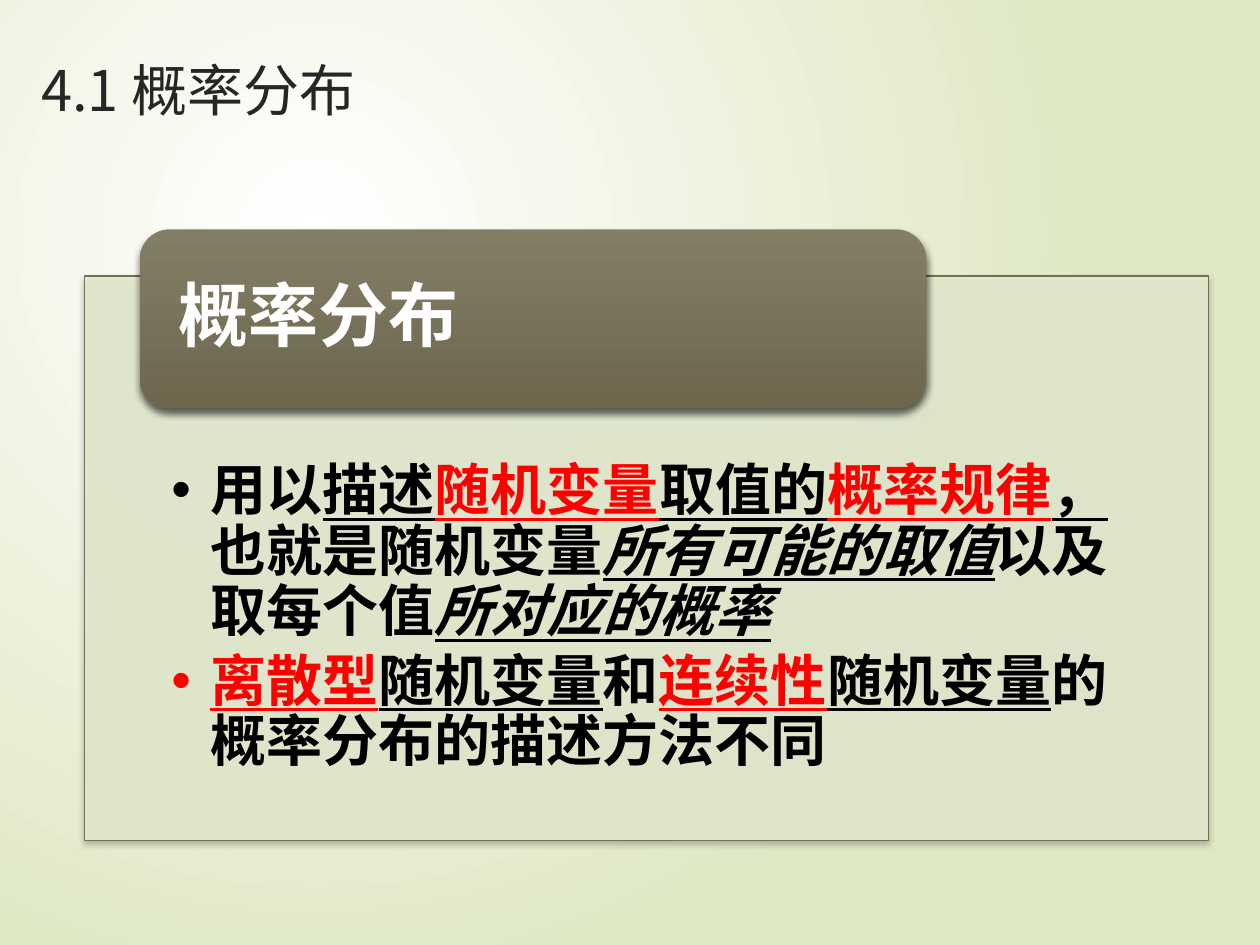
from dataclasses import dataclass

from lxml.etree import SubElement
from pptx import Presentation
from pptx.dml.color import RGBColor
from pptx.enum.shapes import MSO_SHAPE
from pptx.enum.text import MSO_ANCHOR
from pptx.oxml import parse_xml
from pptx.oxml.ns import nsdecls, qn
from pptx.util import Inches, Pt


@dataclass(frozen=True)
class Theme:
    heading_font: str = "Noto Sans CJK SC"
    body_font: str = "TeX Gyre Adventor"
    bullet_font: str = "Arial"
    dark: str = "262626"
    black: str = "000000"
    white: str = "FFFFFF"
    red: str = "FF0000"
    backdrop: str = "DFE8C4"
    panel: str = "E3EACF"
    outline: str = "766F54"
    tab_top: str = "857E67"
    tab_bottom: str = "6E674E"
    text_size: int = 32
    tab_size: int = 40


class SlideBuilder:
    def __init__(self, page, theme):
        self.page = page
        self.theme = theme

    def paint_gradient(self, fill, start, end):
        fill.gradient()
        for stop, color in zip(fill.gradient_stops, (start, end)):
            stop.color.rgb = RGBColor.from_string(color)

    def background(self):
        self.paint_gradient(self.page.background.fill, self.theme.white, self.theme.backdrop)
        linear = self.page.element.find(".//" + qn("a:lin"))
        circle = parse_xml(
            f'<a:path {nsdecls("a")} path="circle">'
            '<a:fillToRect l="50000" t="50000" r="100000" b="100000"/></a:path>'
        )
        linear.getparent().replace(linear, circle)

    def shadow(self, shape, opacity, blur, distance):
        shape.shadow.inherit = False
        effects = shape.element.spPr.find(qn("a:effectLst"))
        outer = SubElement(effects, qn("a:outerShdw"), blurRad=str(Pt(blur)),
                           dist=str(Pt(distance)), dir="5400000", rotWithShape="0")
        color = SubElement(outer, qn("a:srgbClr"), val=self.theme.black)
        SubElement(color, qn("a:alpha"), val=str(opacity * 1000))

    def panel(self, left, top, width, height):
        shape = self.page.shapes.add_shape(
            MSO_SHAPE.RECTANGLE, Inches(left), Inches(top), Inches(width), Inches(height))
        shape.fill.solid()
        shape.fill.fore_color.rgb = RGBColor.from_string(self.theme.panel)
        color = shape.element.spPr.find(qn("a:solidFill"))[0]
        SubElement(color, qn("a:alpha"), val="90000")
        shape.line.color.rgb = RGBColor.from_string(self.theme.outline)
        shape.line.width = Pt(0.75)
        self.shadow(shape, 25, 3, 2)

    def tab(self, left, top, width, height):
        shape = self.page.shapes.add_shape(
            MSO_SHAPE.ROUNDED_RECTANGLE, Inches(left), Inches(top), Inches(width), Inches(height))
        self.paint_gradient(shape.fill, self.theme.tab_top, self.theme.tab_bottom)
        shape.fill.gradient_angle = 270
        shape.line.fill.background()
        self.shadow(shape, 60, 4, 3)

    def frame(self, left, top, width, height, insets, anchor=MSO_ANCHOR.TOP):
        box = self.page.shapes.add_textbox(
            Inches(left), Inches(top), Inches(width), Inches(height))
        frame = box.text_frame
        frame.word_wrap = True
        frame.vertical_anchor = anchor
        (frame.margin_left, frame.margin_top,
         frame.margin_right, frame.margin_bottom) = map(Inches, insets)
        return frame

    def style(self, para, font, size, color, bold=False, spacing=0.9):
        para.line_spacing = spacing
        para.font.name = font
        para.font.size = Pt(size)
        para.font.bold = bold
        para.font.color.rgb = RGBColor.from_string(color)

    def title(self, text, place, insets):
        para = self.frame(*place, insets).paragraphs[0]
        para.text = text
        self.style(para, self.theme.heading_font, self.theme.text_size,
                   self.theme.dark, spacing=1.0)

    def tab_label(self, text, place, insets):
        para = self.frame(*place, insets, MSO_ANCHOR.MIDDLE).paragraphs[0]
        para.text = text
        self.style(para, self.theme.body_font, self.theme.tab_size,
                   self.theme.white, bold=True)

    def bullets(self, items, place, insets):
        frame = self.frame(*place, insets)
        for index, spans in enumerate(items):
            para = frame.add_paragraph() if index else frame.paragraphs[0]
            para.space_after = Pt(5)
            properties = para._p.get_or_add_pPr()
            properties.set("marL", str(Inches(0.31)))
            properties.set("indent", str(-Inches(0.31)))
            SubElement(properties, qn("a:buFont"), typeface=self.theme.bullet_font)
            SubElement(properties, qn("a:buChar"), char="•")
            self.style(para, self.theme.body_font, self.theme.text_size,
                       self.theme.black, bold=True)
            for text, marks in spans:
                span = para.add_run()
                span.text = text
                if "u" in marks:
                    span.font.underline = True
                if "i" in marks:
                    span.font.italic = True
                if "r" in marks:
                    span.font.color.rgb = RGBColor.from_string(self.theme.red)


def main():
    deck = Presentation()
    deck.slide_width, deck.slide_height = Inches(10), Inches(7.5)
    slide = SlideBuilder(deck.slides.add_slide(deck.slide_layouts[6]), Theme())

    slide.background()
    slide.title("4.1 概率分布", (0.23, 0.39, 9.34, 0.9), (0.1, 0.05, 0.1, 0.05))

    panel = (0.67, 2.19, 8.92, 4.48)
    slide.panel(*panel)
    slide.bullets([
        [("用以", ""), ("描述", "u"), ("随机变量", "ur"), ("取值的", "u"),
         ("概率规律", "ur"), ("，", "u"), ("也就是随机变量", ""),
         ("所有可能的取值", "ui"), ("以及取每个值", ""), ("所对应的概率", "ui")],
        [("离散型", "ur"), ("随机变量", "u"), ("和", ""), ("连续性", "ur"),
         ("随机变量", "u"), ("的概率分布的描述方法不同", "")],
    ], panel, (0.69, 1.48, 0.69, 0.25))

    slide.tab(1.11, 1.82, 6.24, 1.42)
    slide.tab_label("概率分布", (1.18, 1.89, 6.1, 1.28), (0.24, 0, 0.24, 0))

    deck.save("out.pptx")


if __name__ == "__main__":
    main()
